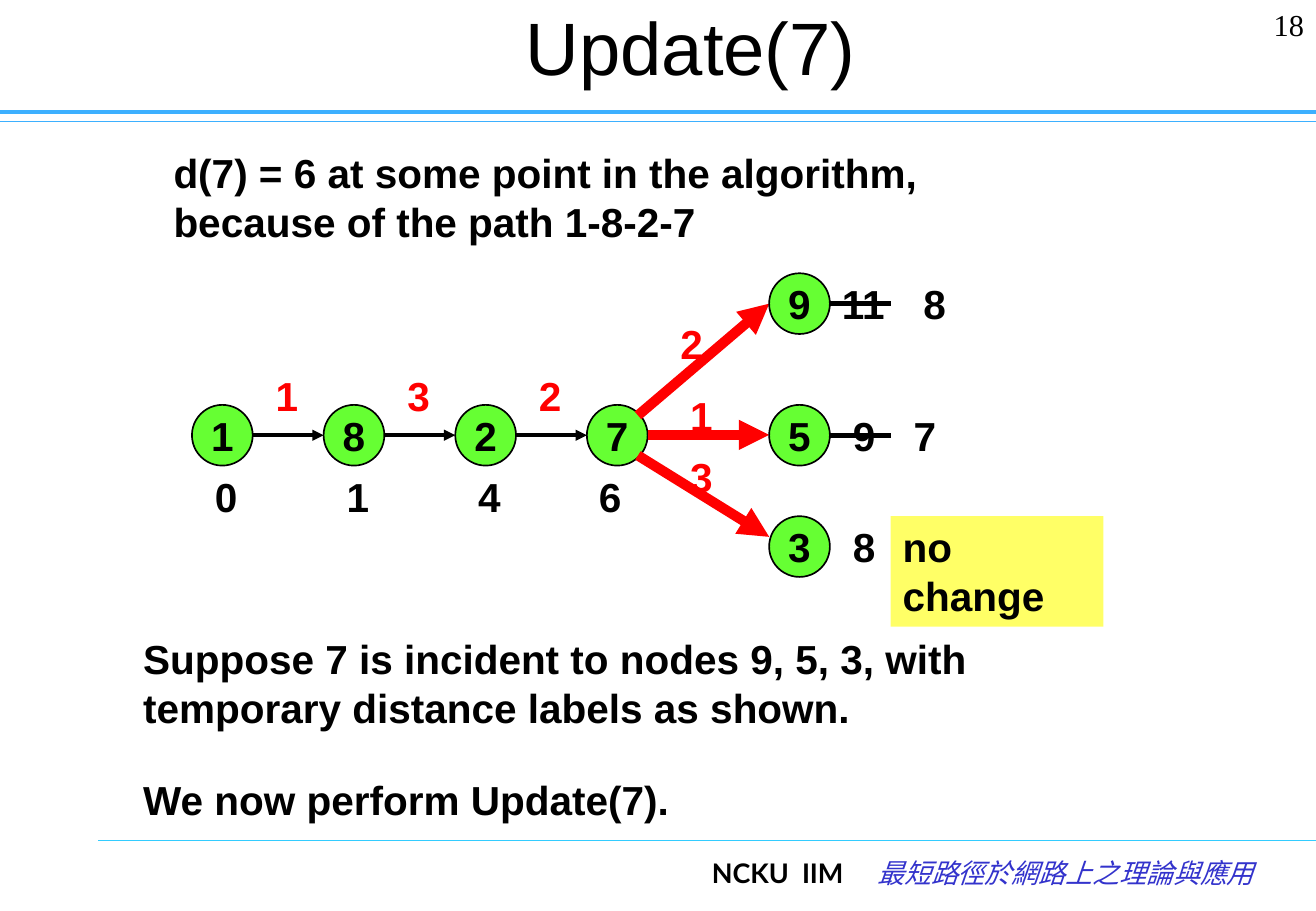
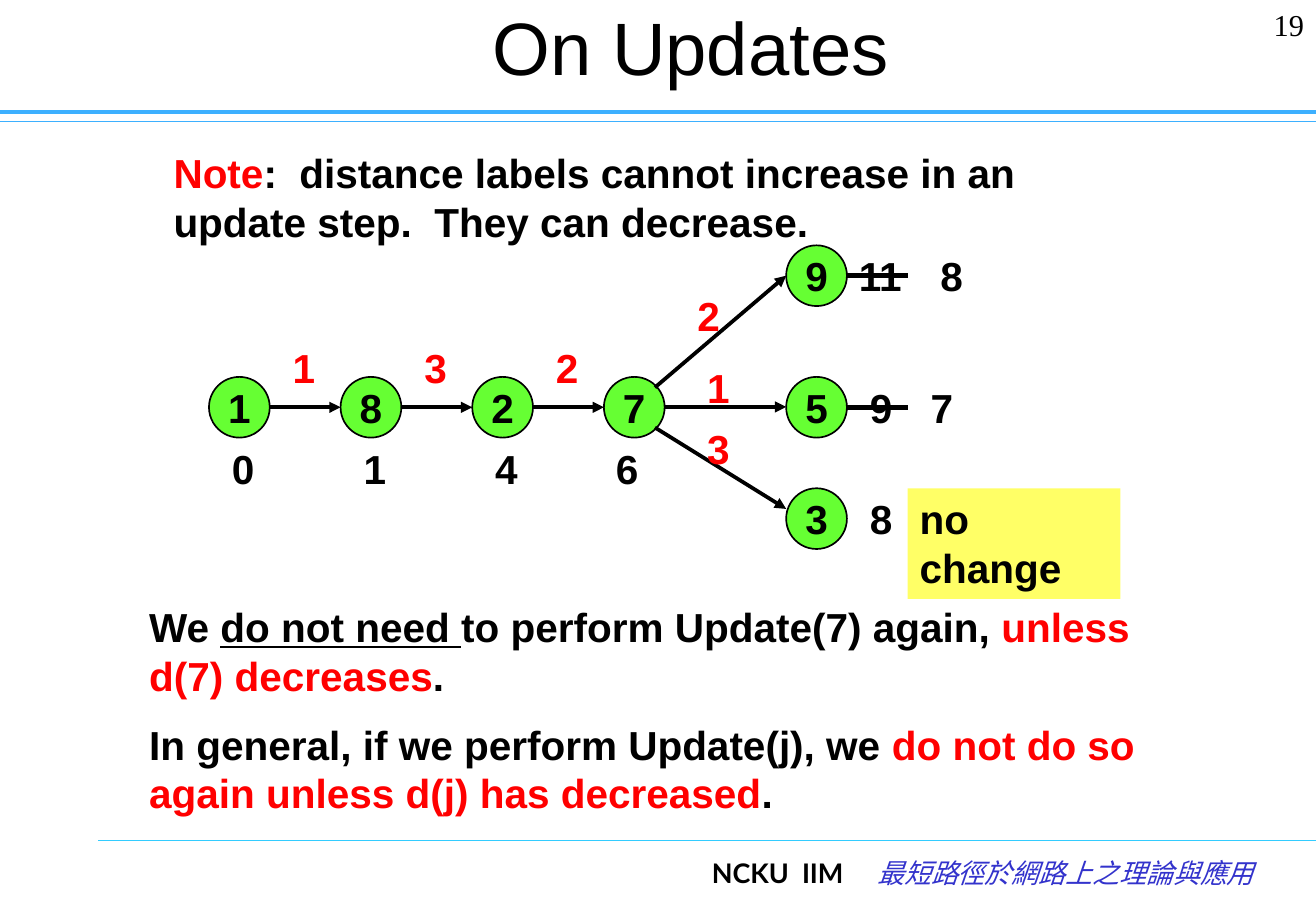
import pptx
import pptx.dml.color
import pptx.enum.shapes
import pptx.enum.text
import pptx.oxml.ns
import pptx.util
from lxml import etree

Inches = pptx.util.Inches
Pt = pptx.util.Pt
RGBColor = pptx.dml.color.RGBColor
ALIGN = pptx.enum.text.PP_ALIGN
SHAPE = pptx.enum.shapes.MSO_SHAPE
qn = pptx.oxml.ns.qn

BLACK = RGBColor(0x00, 0x00, 0x00)
RED = RGBColor(0xFF, 0x00, 0x00)
GREEN = RGBColor(0x66, 0xFF, 0x33)
YELLOW = RGBColor(0xFF, 0xFF, 0x66)
RULE_BLUE = RGBColor(0x3D, 0xB0, 0xFF)
FOOTER_CYAN = RGBColor(0x33, 0xCC, 0xFF)
FOOTER_BLUE = RGBColor(0x33, 0x33, 0xCC)

SLIDE_WIDTH = 10.83
NODE = 0.5
PITCH = 3.25 / 3  # distance between neighbouring chain nodes
LABEL_HEIGHT = 0.51


def add_run(paragraph, text, color=BLACK, size=24, font="Arial",
            bold=True, italic=False, underline=False):
    run = paragraph.add_run()
    run.text = text
    run.font.name = font
    run.font.size = Pt(size)
    run.font.bold = bold
    run.font.italic = italic
    run.font.underline = underline
    run.font.color.rgb = color
    return run


def add_text_box(shapes, left, top, width, height):
    box = shapes.add_textbox(Inches(left), Inches(top), Inches(width), Inches(height))
    box.text_frame.word_wrap = True
    return box


def add_label(shapes, text, left, top, width=0.42, color=BLACK):
    box = add_text_box(shapes, left, top, width, LABEL_HEIGHT)
    add_run(box.text_frame.paragraphs[0], text, color)


def add_body(slide, left, top, width, height, paragraphs):
    """Each paragraph is a list of (text, run options)."""
    frame = add_text_box(slide.shapes, left, top, width, height).text_frame
    for index, runs in enumerate(paragraphs):
        paragraph = frame.add_paragraph() if index else frame.paragraphs[0]
        if index:
            paragraph.space_before = Pt(12)
        for text, options in runs:
            add_run(paragraph, text, **options)


def add_line(shapes, start, end, color, width, arrow=False):
    line = shapes.add_connector(pptx.enum.shapes.MSO_CONNECTOR.STRAIGHT,
                                Inches(start[0]), Inches(start[1]),
                                Inches(end[0]), Inches(end[1]))
    line.line.color.rgb = color
    line.line.width = Pt(width)
    if arrow:
        outline = line.line._get_or_add_ln()
        etree.SubElement(outline, qn("a:tailEnd"), type="triangle")
    etree.SubElement(line._element.spPr, qn("a:effectLst"))


def add_filled_shape(shapes, kind, left, top, width, height, fill, text):
    shape = shapes.add_shape(kind, Inches(left), Inches(top), Inches(width), Inches(height))
    shape.shadow.inherit = False
    shape.fill.solid()
    shape.fill.fore_color.rgb = fill
    add_run(shape.text_frame.paragraphs[0], text)
    return shape


def add_node(shapes, text, left, top):
    node = add_filled_shape(shapes, SHAPE.OVAL, left, top, NODE, NODE, GREEN, text)
    node.line.color.rgb = BLACK
    node.line.width = Pt(1)
    node.text_frame.word_wrap = False
    node.text_frame.vertical_anchor = pptx.enum.text.MSO_ANCHOR.MIDDLE
    node.text_frame.paragraphs[0].alignment = ALIGN.CENTER


def add_note(shapes, text, left, top):
    note = add_filled_shape(shapes, SHAPE.RECTANGLE, left, top, 1.75, 0.91, YELLOW, text)
    note.line.fill.background()
    note.text_frame.word_wrap = True
    note.text_frame.vertical_anchor = pptx.enum.text.MSO_ANCHOR.TOP
    note.text_frame.paragraphs[0].alignment = ALIGN.LEFT


def add_chain(shapes, left, top):
    """Path 1-8-2-7 with arc lengths above and distances below."""
    middle = top + NODE / 2
    names = ["1", "8", "2", "7"]
    for index, name in enumerate(names):
        add_node(shapes, name, left + index * PITCH, top)
    for index, length in enumerate(["1", "3", "2"]):
        node_left = left + index * PITCH
        add_line(shapes, (node_left + NODE, middle), (node_left + PITCH, middle),
                 BLACK, 2.25, arrow=True)
        add_label(shapes, length, node_left + 0.59, top - 0.33, color=RED)
    for distance, offset in zip(["0", "1", "4", "6"],
                                [0.09, 0.09 + PITCH, 0.09 + 2 * PITCH, 3 * PITCH]):
        add_label(shapes, distance, left + offset, top + NODE)


def add_branches(shapes, left, top, arrow_color, arrow_width):
    """Arcs from node 7 to nodes 9, 5 and 3, with old and new labels."""
    node_left = left + 4.75
    strike_left = node_left + NODE
    # name, node top, arc start, arc end y, arc length, its place,
    # old label, its x, new label, its x
    branches = [
        ("9", 0, (3.67, 1.17), 0.25, "2", (3.92, 0.33), "11", 5.25, "8", 5.92),
        ("5", PITCH, (3.75, 1.33), 1.33, "1", (4, 0.92), "9", 5.34, "7", 5.84),
        ("3", 2, (3.67, 1.5), 2.17, "3", (4, 1.42), "8", 5.34, None, None),
    ]
    for (name, node_top, start, end_y, length, place,
         old, old_x, new, new_x) in branches:
        row = top + node_top
        add_line(shapes, (left + start[0], top + start[1]), (node_left, top + end_y),
                 arrow_color, arrow_width, arrow=True)
        add_node(shapes, name, node_left, row)
        add_label(shapes, length, left + place[0], top + place[1], color=RED)
        add_label(shapes, old, left + old_x, row, 0.58)
        if new:
            strike_y = row + NODE / 2
            add_line(shapes, (strike_left, strike_y), (strike_left + 0.5, strike_y), BLACK, 3)
            add_label(shapes, new, left + new_x, row, 0.5)
        else:
            add_note(shapes, "no change", strike_left + 0.5, row)


def add_graph(slide, left, top, arrow_color, arrow_width):
    shapes = slide.shapes.add_group_shape().shapes
    add_chain(shapes, left, top + PITCH)
    add_branches(shapes, left, top, arrow_color, arrow_width)


def add_footer(slide):
    add_line(slide.shapes, (0.81, 6.92), (SLIDE_WIDTH, 6.92), FOOTER_CYAN, 0.75)
    school = add_text_box(slide.shapes, 5.04, 7, 2, 0.5).text_frame.paragraphs[0]
    school.alignment = ALIGN.RIGHT
    add_run(school, "NCKU  IIM", size=16, font="Lato")
    course = add_text_box(slide.shapes, 7.04, 7, 3.38, 0.5).text_frame.paragraphs[0]
    course.alignment = ALIGN.RIGHT
    font = "DejaVu Sans Mono"
    run = add_run(course, "最短路徑於網路上之理論與應用", FOOTER_BLUE, 16, font,
                  bold=False, italic=True)
    etree.SubElement(run.font._element, qn("a:ea"), typeface=font)


def add_base_slide(presentation, title_text, number):
    """Slide with title, header rules, number and footer."""
    slide = presentation.slides.add_slide(presentation.slide_layouts[5])
    title = slide.shapes.title
    title.left, title.top = Inches(1.44), Inches(0)
    title.width, title.height = Inches(8.49), Inches(0.75)
    frame = title.text_frame
    frame.auto_size = pptx.enum.text.MSO_AUTO_SIZE.NONE
    frame.vertical_anchor = pptx.enum.text.MSO_ANCHOR.MIDDLE
    frame.paragraphs[0].alignment = ALIGN.CENTER
    add_run(frame.paragraphs[0], title_text, size=44, bold=False)
    # Header rules
    for rule_y, width in [(1, 0.75), (0.92, 2.5)]:
        add_line(slide.shapes, (0, rule_y), (SLIDE_WIDTH, rule_y), RULE_BLUE, width)
    # Slide number
    paragraph = add_text_box(slide.shapes, 9.93, 0, 0.9, 0.5).text_frame.paragraphs[0]
    paragraph.alignment = ALIGN.RIGHT
    add_run(paragraph, str(number), size=18, font="Times New Roman", bold=False)
    add_footer(slide)
    return slide


def build_update_slide(presentation):
    slide = add_base_slide(presentation, "Update(7)", 18)
    add_graph(slide, 1.58, 2.25, RED, 6)
    add_body(slide, 1.33, 1.17, 6.33, 0.91, [
        [("d(7) = 6 at some point in the algorithm, because of the path 1-8-2-7", {})]])
    add_body(slide, 1.08, 5.17, 7.17, 0.91, [
        [("Suppose 7 is incident to nodes 9, 5, 3, with temporary distance "
          "labels as shown.", {})]])
    add_body(slide, 1.08, 6.33, 5.75, 0.5, [[("We now perform Update(7).", {})]])


def build_notes_on_updates_slide(presentation):
    slide = add_base_slide(presentation, "On Updates", 19)
    red = {"color": RED}
    add_body(slide, 1.33, 1.17, 7.83, 0.91, [
        [("Note", red),
         (":  distance labels cannot increase in an update step.  They can decrease.", {})]])
    add_body(slide, 1.13, 4.91, 8.83, 1.92, [
        [("We ", {}), ("do not need ", {"underline": True}),
         ("to perform Update(7) again, ", {}),
         ("unless d(7) decreases", red), (".", {})],
        [("In general, if we perform Update(j), we ", {}),
         ("do not do so again unless d(j) has decreased", red), (".", {})]])
    add_graph(slide, 1.72, 2.02, BLACK, 2.25)


def main():
    presentation = pptx.Presentation()
    presentation.slide_width = Inches(SLIDE_WIDTH)
    presentation.slide_height = Inches(7.5)
    build_update_slide(presentation)
    build_notes_on_updates_slide(presentation)
    presentation.save("out.pptx")


if __name__ == "__main__":
    main()
